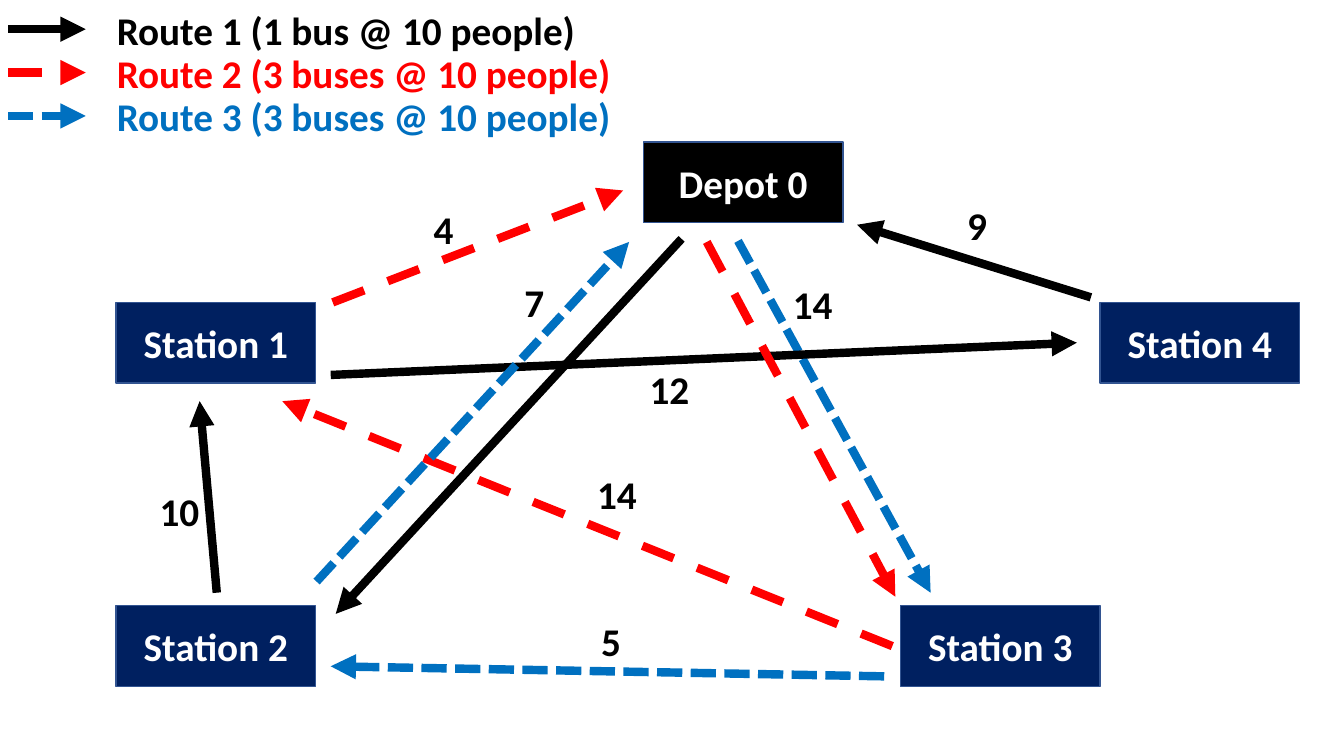
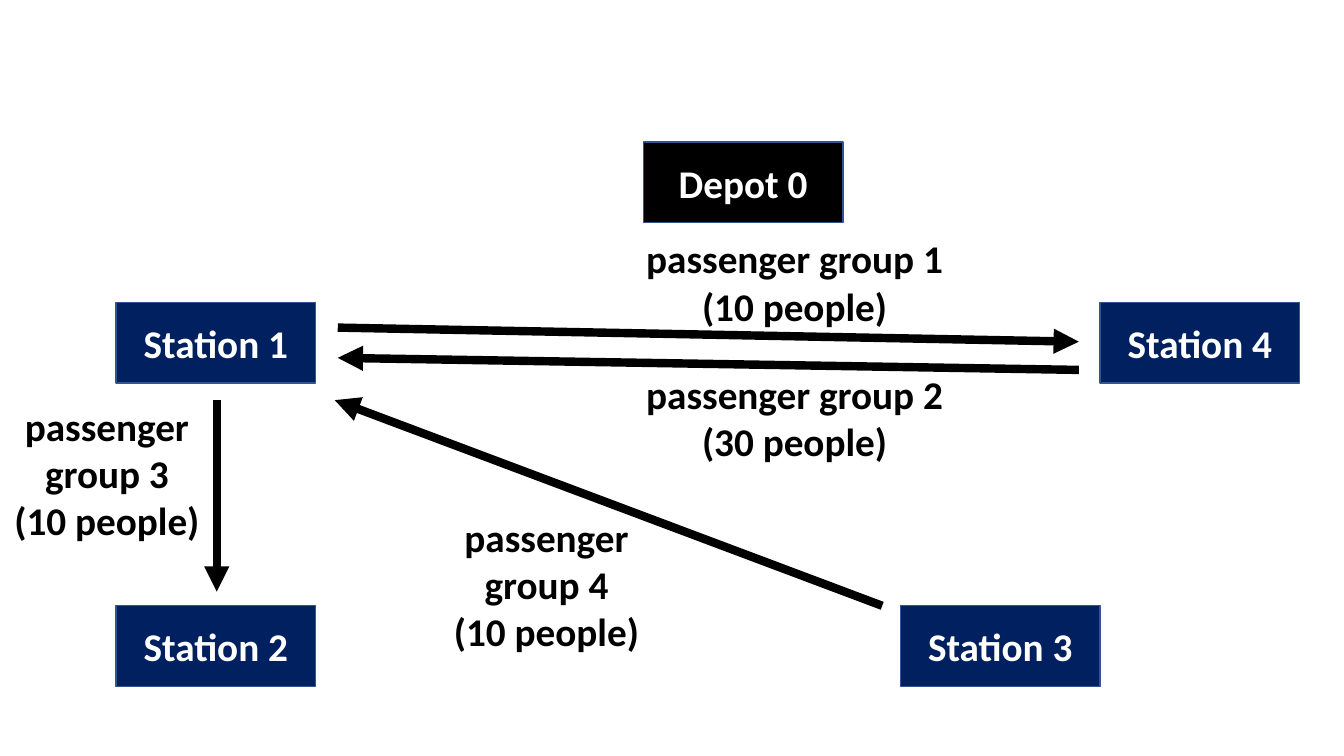
"""Build two slides on a bus network: the routes and the passenger groups."""
from dataclasses import dataclass

from lxml.etree import SubElement
from pptx import Presentation
from pptx.dml.color import RGBColor
from pptx.enum.dml import MSO_LINE
from pptx.enum.shapes import MSO_CONNECTOR, MSO_SHAPE
from pptx.enum.text import MSO_ANCHOR, MSO_AUTO_SIZE, PP_ALIGN
from pptx.oxml.ns import qn
from pptx.util import Inches, Pt

BLACK, WHITE, NAVY, OUTLINE = "000000", "FFFFFF", "002060", "325491"
RED, BLUE = "FF0000", "0070C0"
STOP_WIDTH, STOP_HEIGHT = 1.98, 0.8
LEGEND_PITCH = 0.43
LINE_HEIGHT = 0.47


@dataclass
class Route:
    """Name and line style of one bus route."""
    name: str
    color: str
    dash: MSO_LINE


ROUTES = [
    Route("Route 1 (1 bus @ 10 people)", BLACK, MSO_LINE.SOLID),
    Route("Route 2 (3 buses @ 10 people)", RED, MSO_LINE.DASH),
    Route("Route 3 (3 buses @ 10 people)", BLUE, MSO_LINE.SQUARE_DOT),
]
FIRST, SECOND, THIRD = ROUTES

STOPS = [
    ("Station 1", 1.15, 3, NAVY),
    ("Station 2", 1.15, 6.01, NAVY),
    ("Depot 0", 6.38, 1.41, BLACK),
    ("Station 4", 10.91, 3, NAVY),
    ("Station 3", 8.93, 6.01, NAVY),
]
TRIPS = [
    (FIRST, (6.76, 2.37), (3.33, 6.09)),
    (THIRD, (7.32, 2.39), (9.23, 5.88)),
    (SECOND, (3.3, 3), (6.18, 1.89)),
    (FIRST, (2.15, 5.88), (1.98, 3.98)),
    (FIRST, (3.28, 3.72), (10.68, 3.4)),
    (FIRST, (10.82, 2.95), (8.5, 2.23)),
    (SECOND, (7.01, 2.4), (8.88, 5.92)),
    (SECOND, (8.85, 6.41), (2.8, 3.98)),
    (THIRD, (8.77, 6.71), (3.28, 6.61)),
    (THIRD, (3.14, 5.77), (6.24, 2.4)),
]
DISTANCES = [
    ("4", 4.2, 1.99),
    ("14", 5.82, 4.62),
    ("14", 7.76, 2.73),
    ("10", 1.48, 4.79),
    ("7", 5.1, 2.71),
    ("5", 5.86, 6.08),
    ("9", 9.49, 1.95),
    ("12", 6.34, 3.58),
]
GROUPS = [
    ("passenger group 3", 10, (2.15, 3.97), (2.15, 5.87), (-0.03, 3.94, 2.18), 3),
    ("passenger group 4", 10, (8.75, 6.01), (3.32, 3.97), (4.33, 5.04, 2.18), 3),
    ("passenger group 2", 30, (10.7, 3.67), (3.35, 3.55), (6.22, 3.62, 3.32), 2),
    ("passenger group 1", 10, (3.35, 3.25), (10.7, 3.39), (6.22, 2.28, 3.32), 2),
]


def rgb(value):
    """Turn a hex string into a colour."""
    return RGBColor.from_string(value)


def write(frame, lines, color, align):
    """Fill a text frame with bold paragraphs."""
    frame.text = "\n".join(lines)
    for paragraph in frame.paragraphs:
        paragraph.alignment = align
        font = paragraph.font
        font.name, font.size, font.bold = "Calibri", Pt(28), True
        font.color.rgb = rgb(color)


def add_text(page, lines, left, top, width, rows=1, color=BLACK,
             align=PP_ALIGN.CENTER, wrap=False):
    """Add a text box that is some rows of text high."""
    height = LINE_HEIGHT * rows + 0.1
    box = page.shapes.add_textbox(Inches(left), Inches(top), Inches(width), Inches(height))
    box.text_frame.word_wrap = wrap
    box.text_frame.auto_size = MSO_AUTO_SIZE.SHAPE_TO_FIT_TEXT
    write(box.text_frame, lines, color, align)


def add_arrow(page, start, end, color=BLACK, dash=MSO_LINE.SOLID):
    """Add a thick straight arrow between two points."""
    points = [Inches(length) for length in (*start, *end)]
    arrow = page.shapes.add_connector(MSO_CONNECTOR.STRAIGHT, *points)
    arrow.line.color.rgb = rgb(color)
    arrow.line.width = Pt(6)
    arrow.line.dash_style = dash
    properties = arrow.element.spPr
    SubElement(properties.find(qn("a:ln")), qn("a:tailEnd"), type="triangle")
    SubElement(properties, qn("a:effectLst"))


def add_stop(page, name, left, top, fill):
    """Add a named rectangle for a station or the depot."""
    stop = page.shapes.add_shape(MSO_SHAPE.RECTANGLE, Inches(left), Inches(top),
                                 Inches(STOP_WIDTH), Inches(STOP_HEIGHT))
    stop.shadow.inherit = False
    stop.fill.solid()
    stop.fill.fore_color.rgb = rgb(fill)
    stop.line.color.rgb = rgb(OUTLINE)
    stop.line.width = Pt(1)
    stop.text_frame.vertical_anchor = MSO_ANCHOR.MIDDLE
    write(stop.text_frame, [name], WHITE, PP_ALIGN.CENTER)


def add_network_page(deck):
    """Add a blank page with every stop of the network."""
    page = deck.slides.add_slide(deck.slide_layouts[6])
    for stop in STOPS:
        add_stop(page, *stop)
    return page


def add_legend(page):
    """Add one arrow and one name for each route."""
    for index, route in enumerate(ROUTES):
        offset = index * LEGEND_PITCH
        add_arrow(page, (0.08, 0.29 + offset), (0.85, 0.29 + offset), route.color, route.dash)
        add_text(page, [route.name], 1.06, 0.01 + offset, 5.35,
                 color=route.color, align=PP_ALIGN.LEFT)


def add_routes_page(deck):
    """Show the trips of each route with their distances."""
    page = add_network_page(deck)
    add_legend(page)
    for route, start, end in TRIPS:
        add_arrow(page, start, end, route.color, route.dash)
    for distance, left, top in DISTANCES:
        add_text(page, [distance], left, top, 0.2 + 0.2 * len(distance))


def add_groups_page(deck):
    """Show where each passenger group travels."""
    page = add_network_page(deck)
    for name, people, start, end, place, rows in GROUPS:
        add_arrow(page, start, end)
        add_text(page, [name, f"({people} people)"], *place, rows=rows, wrap=True)


def main():
    """Build and save the deck."""
    deck = Presentation()
    deck.slide_width, deck.slide_height = Inches(13.33), Inches(7.5)
    add_routes_page(deck)
    add_groups_page(deck)
    deck.save("out.pptx")


if __name__ == "__main__":
    main()
